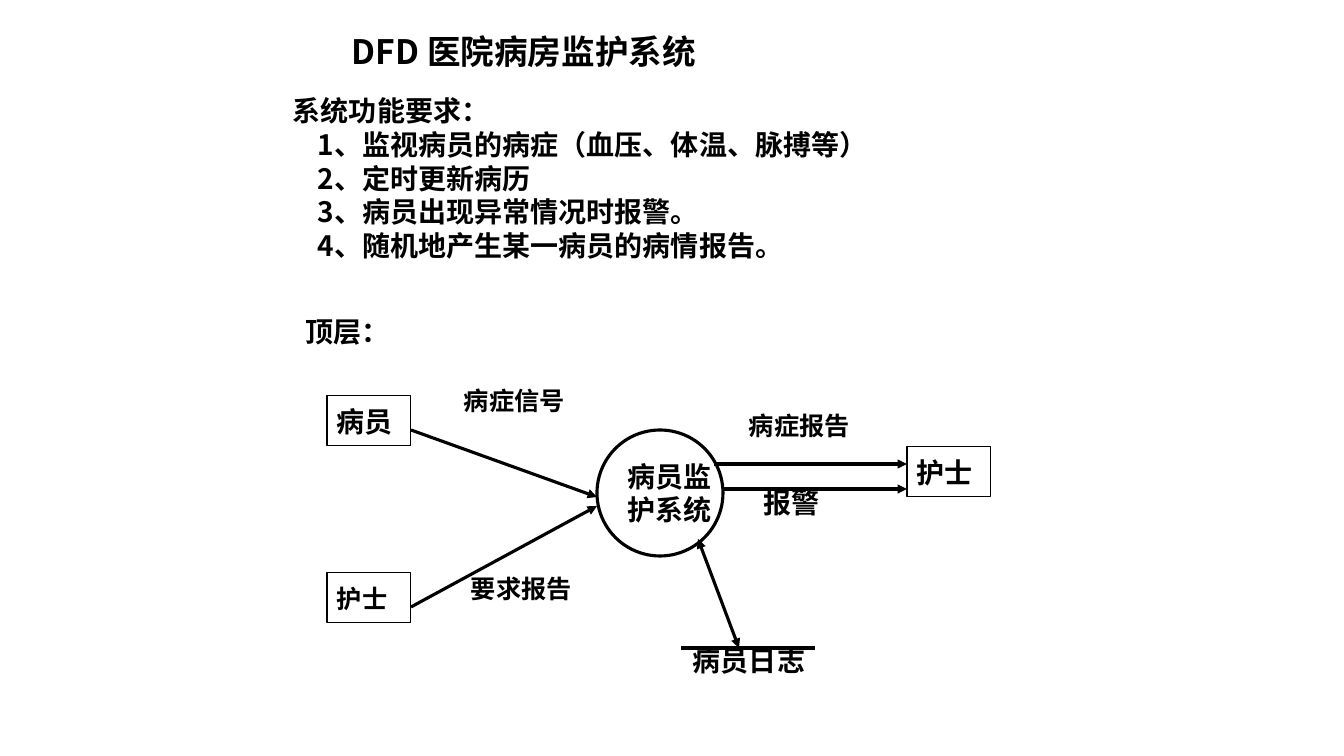
from pptx import Presentation
from pptx.dml.color import RGBColor
from pptx.enum.shapes import MSO_CONNECTOR as CONNECTOR, MSO_SHAPE as SHAPE
from pptx.enum.text import MSO_ANCHOR as ANCHOR, PP_ALIGN as ALIGN
from pptx.oxml.ns import qn
from pptx.util import Pt
from lxml.etree import SubElement

PX = 914400 / 100.8
SANS, SERIF = "Noto Sans CJK SC", "Times New Roman"
BLACK = "000000"


def color(hex_string):
    return RGBColor.from_string(hex_string)


def write(shape, text, size=20, font=SANS, anchor=ANCHOR.TOP, wrap=True,
          spacing=None, indent=0):
    """Fill a shape with one paragraph per line; indent applies after the first."""
    frame = shape.text_frame
    frame.word_wrap = wrap
    frame.vertical_anchor = anchor
    for number, line in enumerate(text.split("\n")):
        paragraph = frame.paragraphs[0] if number == 0 else frame.add_paragraph()
        paragraph.alignment = ALIGN.LEFT
        paragraph.line_spacing = spacing
        if number and indent:
            properties = paragraph._p.get_or_add_pPr()
            properties.set("marL", str(round(indent * PX)))
            properties.set("indent", "0")
        run = paragraph.add_run()
        run.text = line
        run.font.size, run.font.bold, run.font.name = Pt(size), True, font
        run.font.color.rgb = color(BLACK)
        SubElement(run._r.get_or_add_rPr(), qn("a:ea"), typeface=SANS)


presentation = Presentation()
presentation.slide_width = round(1344 * PX)
presentation.slide_height = round(756 * PX)
slide = presentation.slides.add_slide(presentation.slide_layouts[6])

# Heading, requirements and diagram labels
requirements = """系统功能要求：
1、监视病员的病症（血压、体温、脉搏等）
2、定时更新病历
3、病员出现异常情况时报警。
4、随机地产生某一病员的病情报告。"""
labels = [
    ((342, 8, 664, 92), "DFD 医院病房监护系统",
     dict(size=24, anchor=ANCHOR.MIDDLE, spacing=0.9)),
    ((283, 89, 824, 179), requirements, dict(indent=25)),
    ((296, 310, 103, 44), "顶层：", dict(font=SERIF)),
    ((454, 380, 151, 49), "病症信号", dict(size=18)),
    ((461, 568, 123, 57), "要求报告", dict(size=18, font=SERIF, wrap=False)),
    ((739, 405, 123, 45), "病症报告", dict(size=18, wrap=False)),
    ((754, 481, 77, 53), "报警", dict(font=SERIF)),
    ((683, 639, 140, 49), "病员日志", dict()),
]
for box, text, style in labels:
    label = slide.shapes.add_textbox(*[round(value * PX) for value in box])
    write(label, text, **style)

# External entities and the central process
nodes = [
    (SHAPE.RECTANGLE, (327, 396, 84, 50), "病员", 0.75, dict()),
    (SHAPE.RECTANGLE, (907, 447, 84, 50), "护士", 0.75, dict(font=SERIF)),
    (SHAPE.RECTANGLE, (327, 573, 84, 50), "护士", 0.75, dict(size=18, font=SERIF)),
    (SHAPE.OVAL, (597, 430, 126, 126), "病员监\n护系统", 2.25, dict()),
]
for kind, box, text, width, style in nodes:
    node = slide.shapes.add_shape(kind, *[round(value * PX) for value in box])
    node.shadow.inherit = False
    node.fill.background()
    node.line.color.rgb = color(BLACK)
    node.line.width = Pt(width)
    write(node, text, anchor=ANCHOR.MIDDLE, wrap=False, **style)
    if kind == SHAPE.OVAL:
        node.text_frame.margin_left = round(12 * PX)
        node.text_frame.margin_right = 0

# Data flows and the data store line, with the ends that carry arrowheads
flows = [
    ((411, 430, 597, 497), ["tailEnd"]),
    ((411, 607, 597, 506), ["tailEnd"]),
    ((714, 464, 907, 464), ["tailEnd"]),
    ((723, 489, 907, 489), ["tailEnd"]),
    ((681, 648, 815, 648), []),
    ((698, 539, 739, 648), ["headEnd", "tailEnd"]),
]
for points, arrowheads in flows:
    flow = slide.shapes.add_connector(
        CONNECTOR.STRAIGHT, *[round(value * PX) for value in points])
    flow.line.color.rgb = color(BLACK)
    flow.line.width = Pt(2.25)
    for end in arrowheads:
        SubElement(flow.line._get_or_add_ln(), qn(f"a:{end}"), type="triangle")
    SubElement(flow._element.spPr, qn("a:effectLst"))

presentation.save("out.pptx")
